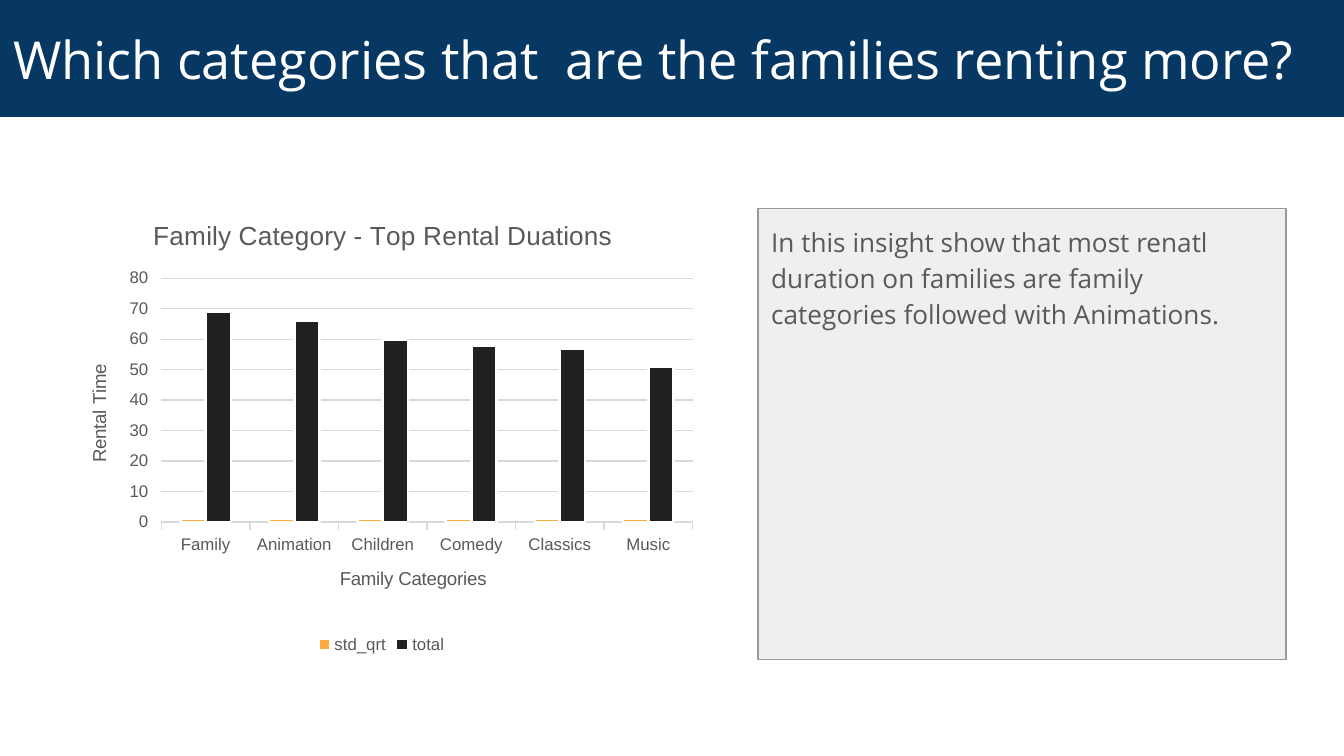
import pptx
import pptx.chart.data
import pptx.dml.color
import pptx.enum.chart
import pptx.enum.shapes
import pptx.enum.text
import pptx.oxml.ns
import pptx.util
from dataclasses import dataclass
from lxml import etree

SLIDE_W = 10
SLIDE_H = SLIDE_W * 9 / 16


@dataclass(frozen=True)
class Theme:
    banner: str = "073763"
    panel: str = "EFEFEF"
    panel_line: str = "999999"
    white: str = "FFFFFF"
    text: str = "595959"
    grid: str = "D9D9D9"
    quartile: str = "FFAB40"
    total: str = "212121"
    font: str = "Open Sans"
    chart_font: str = "Arial"
    heading: int = 28
    body: int = 14
    chart_title: int = 14
    axis_title: int = 10
    label: int = 9


THEME = Theme()


def rgb(value):
    return pptx.dml.color.RGBColor.from_string(value)


def box(x, y, w, h):
    """Turn percentages of the slide into lengths."""
    return [pptx.util.Inches(v * side / 100)
            for v, side in zip((x, y, w, h), (SLIDE_W, SLIDE_H) * 2)]


def set_font(font, size, color, name):
    font.size = pptx.util.Pt(size)
    font.color.rgb = rgb(color)
    font.name = name
    font.bold = False


def set_line(line, color, width=0.75):
    line.color.rgb = rgb(color)
    line.width = pptx.util.Pt(width)


def write(tf, text, *, size, color, name=THEME.font, spacing=None, after=None):
    p = tf.paragraphs[0]
    p.alignment = pptx.enum.text.PP_ALIGN.LEFT
    p.line_spacing = spacing
    p.space_after = after
    r = p.add_run()
    r.text = text
    set_font(r.font, size, color, name)


def add_panel(slide, area, text, *, fill, line=None, anchor="TOP", **text_format):
    sp = slide.shapes.add_shape(pptx.enum.shapes.MSO_SHAPE.RECTANGLE, *box(*area))
    sp.shadow.inherit = False
    sp.fill.solid()
    sp.fill.fore_color.rgb = rgb(fill)
    if line:
        set_line(sp.line, line)
    else:
        sp.line.fill.background()
    tf = sp.text_frame
    tf.word_wrap = True
    tf.vertical_anchor = pptx.enum.text.MSO_ANCHOR[anchor]
    tf.margin_left = tf.margin_right = pptx.util.Inches(0.1)
    tf.margin_top = tf.margin_bottom = pptx.util.Inches(0.1)
    write(tf, text, **text_format)


def place(parent, **shares):
    """Fix a chart part at shares of the chart's size."""
    qn = pptx.oxml.ns.qn
    for old in parent.findall(qn("c:layout")):
        parent.remove(old)
    layout = etree.Element(qn("c:layout"))
    manual = etree.SubElement(layout, qn("c:manualLayout"))
    if "w" in shares:
        etree.SubElement(manual, qn("c:layoutTarget")).set("val", "inner")
    for key in ("x", "y"):
        etree.SubElement(manual, qn(f"c:{key}Mode")).set("val", "edge")
    for key, value in shares.items():
        etree.SubElement(manual, qn(f"c:{key}")).set("val", str(value))
    tx = parent.find(qn("c:tx"))
    if tx is None:
        parent.insert(0, layout)
    else:
        tx.addnext(layout)


def style_axis(axis, title, x, y):
    axis.has_title = True
    write(axis.axis_title.text_frame, title, size=THEME.axis_title,
          color=THEME.text, name=THEME.chart_font)
    place(axis.axis_title._element, x=x, y=y)
    axis.major_tick_mark = pptx.enum.chart.XL_TICK_MARK.OUTSIDE
    axis.minor_tick_mark = pptx.enum.chart.XL_TICK_MARK.NONE
    set_font(axis.tick_labels.font, THEME.label, THEME.text, THEME.chart_font)


def add_column_chart(slide, area, title, categories, series):
    data = pptx.chart.data.CategoryChartData()
    data.categories = categories
    for name, values, _ in series:
        data.add_series(name, values)
    chart = slide.shapes.add_chart(
        pptx.enum.chart.XL_CHART_TYPE.COLUMN_CLUSTERED, *box(*area), data).chart
    set_font(chart.font, THEME.label, THEME.text, THEME.chart_font)

    # Title and legend
    chart.has_title = True
    write(chart.chart_title.text_frame, title, size=THEME.chart_title,
          color=THEME.text, name=THEME.chart_font)
    place(chart.chart_title._element, x=0.14, y=0.03)
    chart.has_legend = True
    chart.legend.position = pptx.enum.chart.XL_LEGEND_POSITION.BOTTOM
    chart.legend.include_in_layout = False
    set_font(chart.legend.font, THEME.label, THEME.text, THEME.chart_font)

    # Axes
    style_axis(chart.category_axis, "Family Categories", x=0.43, y=0.79)
    set_line(chart.category_axis.format.line, THEME.grid)
    axis = chart.value_axis
    style_axis(axis, "Rental Time", x=0.04, y=0.35)
    axis.minimum_scale, axis.maximum_scale, axis.major_unit = 0, 80, 10
    axis.format.line.fill.background()
    set_line(axis.major_gridlines.format.line, THEME.grid)

    # Columns
    plot = chart.plots[0]
    plot.gap_width = 150
    plot.vary_by_categories = False
    for s, (_, _, color) in zip(plot.series, series):
        s.format.fill.solid()
        s.format.fill.fore_color.rgb = rgb(color)
        set_line(s.format.line, THEME.white, 1.5)
    place(chart._chartSpace.chart.plotArea, x=0.16, y=0.17, w=0.82, h=0.53)


def main():
    prs = pptx.Presentation()
    prs.slide_width = pptx.util.Inches(SLIDE_W)
    prs.slide_height = pptx.util.Inches(SLIDE_H)
    slide = prs.slides.add_slide(prs.slide_layouts[6])

    # Insight
    add_panel(slide, (56.4, 27.56, 39.3, 59.73),
              "In this insight show that most renatl duration on families "
              "are family categories followed with Animations.",
              fill=THEME.panel, line=THEME.panel_line, size=THEME.body,
              color=THEME.text, spacing=1.15, after=pptx.util.Pt(16))

    # Heading
    add_panel(slide, (0, 0, 100, 15.47),
              "Which categories that  are the families renting more?",
              fill=THEME.banner, anchor="MIDDLE", size=THEME.heading,
              color=THEME.white)

    # Rental chart
    add_column_chart(
        slide, (4.3, 26.49, 48.2, 60.8),
        "Family Category - Top Rental Duations",
        ["Family", "Animation", "Children", "Comedy", "Classics", "Music"],
        [("std_qrt", [1] * 6, THEME.quartile),
         ("total", [69, 66, 60, 58, 57, 51], THEME.total)])

    prs.save("out.pptx")


main()
